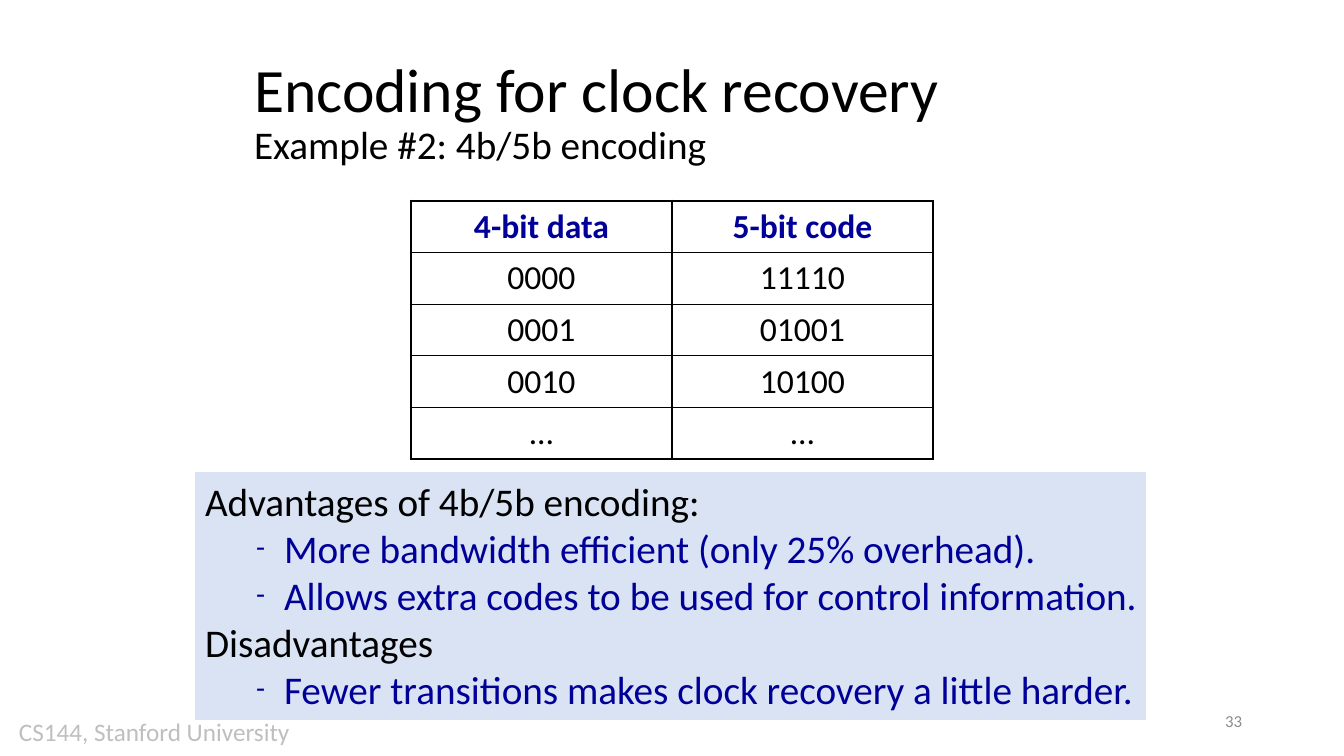
from dataclasses import dataclass
from lxml import etree
from pptx import Presentation, util as u
from pptx.dml.color import RGBColor
from pptx.enum import text
from pptx.oxml.ns import qn


@dataclass(frozen=True)
class Theme:
    font: str = "Calibri"
    ink: str = "000000"
    accent: str = "000099"
    panel: str = "DAE3F3"
    footer: str = "BFBFBF"
    number: str = "8C8C8C"
    title: int = 44
    body: int = 28
    cell: int = 24
    foot: int = 18
    num: int = 12


T = Theme()
PX = 914400 / 100.8
LEFT, CENTER, RIGHT = text.PP_ALIGN.LEFT, text.PP_ALIGN.CENTER, text.PP_ALIGN.RIGHT


def px(n):
    return u.Emu(round(n * PX))


def write(p, words, size, color, bold=False, align=LEFT):
    p.alignment = align
    r = p.add_run()
    r.text = words
    for name, value in {"name": T.font, "size": u.Pt(size), "bold": bold}.items():
        setattr(r.font, name, value)
    r.font.color.rgb = RGBColor.from_string(color)


prs = Presentation()
prs.slide_width, prs.slide_height = px(1344), px(756)
s = prs.slides.add_slide(prs.slide_layouts[1])
title, body = s.placeholders

for sp, box in ((title, (244, 51, 857, 126)), (body, (195, 472, 951, 248))):
    for name, value in zip(("left", "top", "width", "height"), box):
        setattr(sp, name, px(value))
    sp.text_frame.auto_size = text.MSO_AUTO_SIZE.NONE

tf = title.text_frame
tf.vertical_anchor = text.MSO_ANCHOR.MIDDLE
p = tf.paragraphs[0]
p.line_spacing = 0.9
write(p, "Encoding for clock recovery", T.title, T.ink)
p.add_line_break()
write(p, "Example #2: 4b/5b encoding", T.body, T.ink)

rows = [
    ("4-bit data", "5-bit code"),
    ("0000", "11110"),
    ("0001", "01001"),
    ("0010", "10100"),
    ("…", "…"),
]
last_row, last_col = len(rows) - 1, len(rows[0]) - 1
tbl = s.shapes.add_table(len(rows), len(rows[0]), px(411), px(201), px(522), px(258)).table
tbl.first_row = tbl.horz_banding = False
for i, row in enumerate(rows):
    for j, words in enumerate(row):
        cell = tbl.cell(i, j)
        outer = {"lnL": j == 0, "lnR": j == last_col, "lnT": i == 0, "lnB": i == last_row}
        tcPr = cell._tc.get_or_add_tcPr()
        for side, thick in outer.items():
            ln = etree.SubElement(tcPr, qn(f"a:{side}"), w=str(u.Pt(2.25 if thick else 1)))
            fill = etree.SubElement(ln, qn("a:solidFill"))
            etree.SubElement(fill, qn("a:srgbClr"), val=T.ink)
        cell.fill.background()
        cell.vertical_anchor = text.MSO_ANCHOR.MIDDLE
        header = i == 0
        write(cell.text_frame.paragraphs[0], words, T.cell,
              T.accent if header else T.ink, header, CENTER)

body.fill.solid()
body.fill.fore_color.rgb = RGBColor.from_string(T.panel)
tf = body.text_frame
tf.word_wrap = True
tf.margin_right = 0
lines = [
    (0, "Advantages of 4b/5b encoding:"),
    (1, "More bandwidth efficient (only 25% overhead)."),
    (1, "Allows extra codes to be used for control information."),
    (0, "Disadvantages"),
    (1, "Fewer transitions makes clock recovery a little harder."),
]
for i, (level, words) in enumerate(lines):
    p = tf.add_paragraph() if i else tf.paragraphs[0]
    p.level = level
    pPr = p._p.get_or_add_pPr()
    pPr.set("marL", str(px(79 * level)))
    pPr.set("indent", str(px(-28 * level)))
    if level:
        etree.SubElement(pPr, qn("a:buSzPct"), val="75000")
        etree.SubElement(pPr, qn("a:buFont"), typeface=T.font)
        etree.SubElement(pPr, qn("a:buChar"), char="-")
    else:
        etree.SubElement(pPr, qn("a:buNone"))
    p.space_before = u.Pt(0)
    write(p, words, T.body, T.accent if level else T.ink)

labels = [
    ("CS144, Stanford University", (9, 711, 511, 42), T.foot, T.footer, LEFT, text.MSO_ANCHOR.TOP),
    ("33", (950, 701, 302, 40), T.num, T.number, RIGHT, text.MSO_ANCHOR.MIDDLE),
]
for words, box, size, color, align, anchor in labels:
    tf = s.shapes.add_textbox(*map(px, box)).text_frame
    tf.word_wrap = True
    tf.vertical_anchor = anchor
    write(tf.paragraphs[0], words, size, color, align=align)

prs.save("out.pptx")
